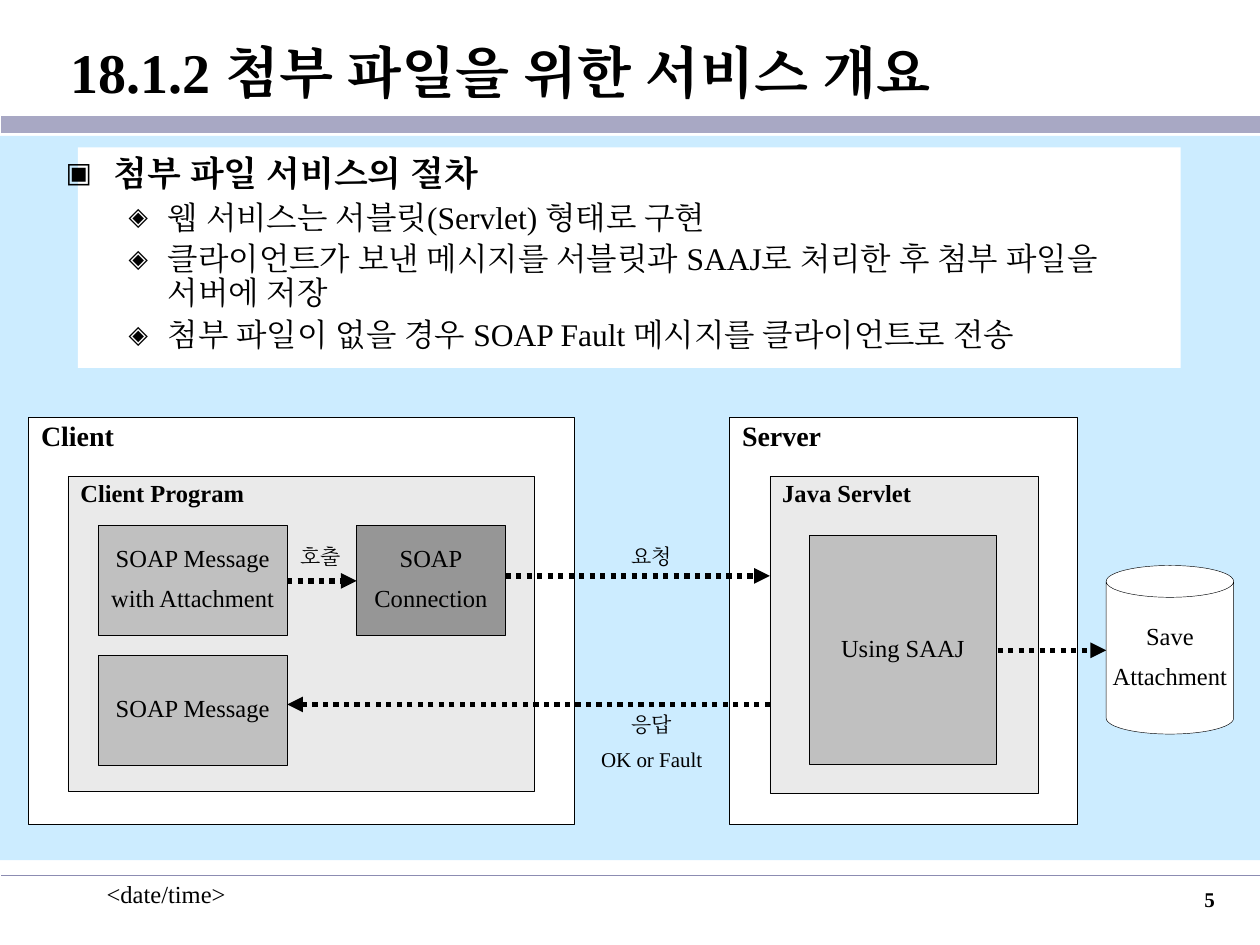
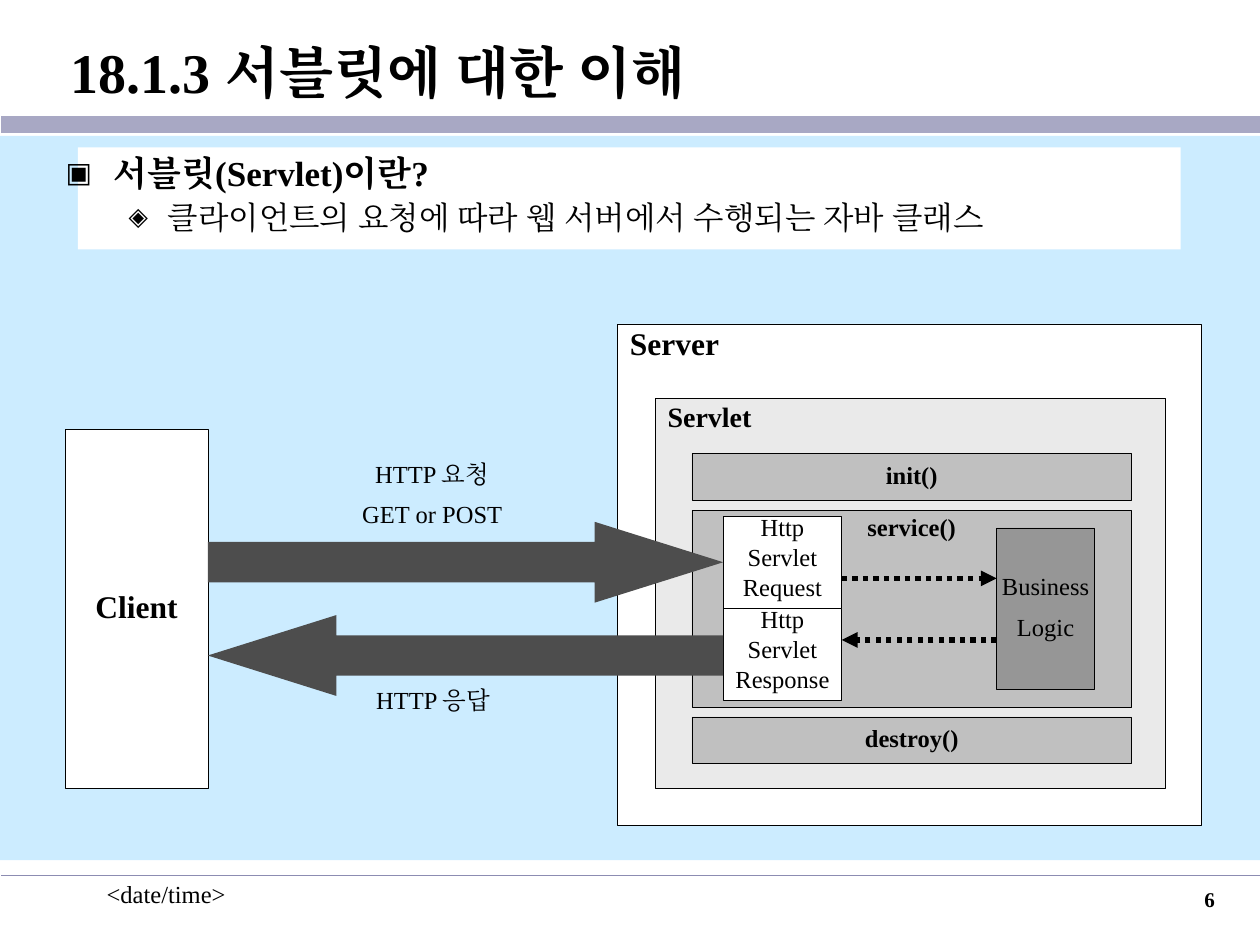
from lxml.etree import SubElement
from pptx import Presentation
from pptx.dml.color import RGBColor
from pptx.enum.dml import MSO_LINE
from pptx.enum.shapes import MSO_CONNECTOR, MSO_SHAPE
from pptx.enum.text import MSO_ANCHOR, MSO_AUTO_SIZE, PP_ALIGN
from pptx.oxml.ns import qn
from pptx.util import Cm, Pt

FONT = "Times New Roman"
BLACK, WHITE = "000000", "FFFFFF"
SKY, BAND, RULE = "CCECFF", "A8A8C4", "8C8CB2"
PALE, SILVER, GRAY, CHARCOAL = "EAEAEA", "C0C0C0", "969696", "4D4D4D"
WIDTH, HEIGHT = 25.4, 19.05
# bullet, left margin (cm), hanging indent (cm), text size, space before
LEVELS = [("▣", 0.97, 0.97, 20, 5), ("◈", 2.06, 0.79, 18, 4.5)]


def rgb(value):
    return RGBColor.from_string(value)


def place(sp, box):
    sp.left, sp.top, sp.width, sp.height = (Cm(v) for v in box)


def style_runs(p, size, bold=False):
    for r in p.runs:
        r.font.name, r.font.size, r.font.bold = FONT, Pt(size), bold
        r.font.color.rgb = rgb(BLACK)
        SubElement(r._r.get_or_add_rPr(), qn("a:ea"), typeface=FONT)


def write(sp, text, size=14, bold=False, align=PP_ALIGN.CENTER,
          anchor=MSO_ANCHOR.MIDDLE, spacing=0.85):
    """Fill a shape with unwrapped lines, spaced in proportion to their size."""
    tf = sp.text_frame
    tf.text = text
    tf.word_wrap = False
    tf.vertical_anchor = anchor
    for i, p in enumerate(tf.paragraphs):
        p.alignment, p.line_spacing = align, spacing
        p.space_before = Pt(size * 0.625 if i else 0)
        style_runs(p, size, bold)


def add_block(s, box, fill, text="", line=True, kind=MSO_SHAPE.RECTANGLE, **style):
    sp = s.shapes.add_shape(kind, *(Cm(v) for v in box))
    sp.shadow.inherit = False
    sp.fill.solid()
    sp.fill.fore_color.rgb = rgb(fill)
    if line:
        sp.line.color.rgb = rgb(BLACK)
        sp.line.width = Pt(0.25)
    else:
        sp.line.fill.background()
    if text:
        write(sp, text, **style)
    return sp


def add_panel(s, box, fill, text, size):
    """A container with its heading in the top left corner."""
    add_block(s, box, fill, text, size=size, bold=True,
              align=PP_ALIGN.LEFT, anchor=MSO_ANCHOR.TOP)


def add_label(s, box, text, **style):
    sp = s.shapes.add_textbox(*(Cm(v) for v in box))
    write(sp, text, anchor=MSO_ANCHOR.TOP, **style)


def add_line(s, x1, x2, y, color, width):
    ln = s.shapes.add_connector(MSO_CONNECTOR.STRAIGHT, Cm(x1), Cm(y), Cm(x2), Cm(y))
    ln.line.color.rgb = rgb(color)
    ln.line.width = Pt(width)
    SubElement(ln.element.spPr, qn("a:effectLst"))
    return ln


def add_dotted_arrow(s, x1, x2, y):
    ln = add_line(s, x1, x2, y, BLACK, 3)
    ln.line.dash_style = MSO_LINE.ROUND_DOT
    SubElement(ln.line._get_or_add_ln(), qn("a:tailEnd"), type="triangle")


# Parts shared by all slides
def add_title(s, text):
    sp = s.shapes.title
    place(sp, (0.03, 0.28, 25.37, 2.29))
    tf = sp.text_frame
    tf.text = text
    tf.margin_left = Cm(1.4)
    tf.vertical_anchor = MSO_ANCHOR.MIDDLE
    tf.auto_size = MSO_AUTO_SIZE.NONE
    tf.paragraphs[0].alignment = PP_ALIGN.LEFT
    style_runs(tf.paragraphs[0], 32, True)
    s.shapes.element.append(sp.element)


def add_bullets(s, heading, items, box):
    sp = s.placeholders[1]
    place(sp, box)
    tf = sp.text_frame
    tf.text = "\n".join([heading, *items])
    tf.auto_size = MSO_AUTO_SIZE.NONE
    for i, p in enumerate(tf.paragraphs):
        p.level = min(i, 1)
        char, margin, hang, size, before = LEVELS[p.level]
        pPr = p._p.get_or_add_pPr()
        pPr.set("marL", str(Cm(margin)))
        pPr.set("indent", str(-Cm(hang)))
        SubElement(SubElement(pPr, qn("a:buClr")), qn("a:srgbClr"), val=BLACK)
        SubElement(pPr, qn("a:buSzPct"), val="80000")
        SubElement(pPr, qn("a:buFont"), typeface=FONT)
        SubElement(pPr, qn("a:buChar"), char=char)
        p.alignment, p.line_spacing = PP_ALIGN.LEFT, 0.9
        p.space_before = Pt(before if i else 0)
        style_runs(p, size, i == 0)
    s.shapes.element.append(sp.element)


def add_frame(prs, number, title, heading, items, card_height, body_height):
    s = prs.slides.add_slide(prs.slide_layouts[1])
    # Footer and rules
    add_label(s, (1.9, 17.6, 5.28, 1.27), "<date/time>", align=PP_ALIGN.LEFT, spacing=1)
    add_label(s, (19.46, 17.75, 5.28, 1.27), number, size=12, bold=True,
              align=PP_ALIGN.RIGHT, spacing=1)
    add_line(s, 0.03, WIDTH, 2.51, BAND, 9.25)
    add_line(s, 0.03, WIDTH, 17.65, RULE, 1)
    # Background and text card
    add_block(s, (0, 2.74, WIDTH, 14.6), SKY, line=False)
    add_block(s, (1.57, 2.97, 22.23, card_height), WHITE, line=False)
    add_title(s, title)
    add_bullets(s, heading, items, (1.07, 3.02, 23.27, body_height))
    return s


# Attachment service: regions
def draw_soap_client(s, x, y):
    add_panel(s, (x, y, 11, 8.2), WHITE, "Client", 16)
    add_panel(s, (x + 0.79, y + 1.19, 9.4, 6.35), PALE, "Client Program", 14)
    for dy, text in ((2.18, "SOAP Message\nwith Attachment"), (4.8, "SOAP Message")):
        add_block(s, (x + 1.4, y + dy, 3.81, 2.21), SILVER, text)
    add_block(s, (x + 6.61, y + 2.18, 3, 2.21), GRAY, "SOAP\nConnection")
    add_dotted_arrow(s, x + 5.21, x + 6.61, y + 3.3)
    add_label(s, (x + 5.21, y + 2.51, 1.35, 0.69), "호출", size=12)


def draw_saaj_server(s, x, y):
    add_panel(s, (x, y, 7.01, 8.2), WHITE, "Server", 16)
    add_panel(s, (x + 0.81, y + 1.19, 5.41, 6.4), PALE, "Java Servlet", 14)
    add_block(s, (x + 1.6, y + 2.39, 3.78, 4.6), SILVER, "Using SAAJ")
    add_block(s, (x + 7.59, y + 2.99, 2.57, 3.4), WHITE, "Save\nAttachment",
              kind=MSO_SHAPE.CAN)
    add_dotted_arrow(s, x + 5.4, x + 7.59, y + 4.7)


def draw_soap_exchange(s, client_x, server_x, y):
    servlet_x = server_x + 0.81
    middle = (client_x + 11 + server_x) / 2
    add_dotted_arrow(s, client_x + 9.61, servlet_x, y + 3.2)
    add_label(s, (middle - 0.68, y + 2.51, 1.35, 0.69), "요청", size=12)
    add_dotted_arrow(s, servlet_x, client_x + 5.21, y + 5.79)
    add_label(s, (middle - 1.29, y + 5.89, 2.57, 1.4), "응답\nOK or Fault", size=12)


# Servlet life cycle: regions
def draw_servlet_server(s, x, y):
    add_panel(s, (x, y, 11.76, 10.11), WHITE, "Server", 18)
    add_panel(s, (x + 0.76, y + 1.5, 10.29, 7.87), PALE, "Servlet", 16)
    methods = (("init()", 2.61, 0.94, MSO_ANCHOR.MIDDLE),
               ("service()", 3.76, 3.96, MSO_ANCHOR.TOP),
               ("destroy()", 7.92, 0.94, MSO_ANCHOR.MIDDLE))
    for name, dy, height, anchor in methods:
        add_block(s, (x + 1.5, y + dy, 8.86, height), SILVER, name,
                  bold=True, anchor=anchor)
    for i, name in enumerate(("Request", "Response")):
        add_block(s, (x + 2.13, y + 3.88 + i * 1.85, 2.39, 1.85), WHITE,
                  f"Http\nServlet\n{name}", spacing=0.5)
    add_block(s, (x + 7.64, y + 4.11, 1.98, 3.25), GRAY, "Business\nLogic")
    add_dotted_arrow(s, x + 4.52, x + 7.64, y + 5.13)
    add_dotted_arrow(s, x + 7.64, x + 4.52, y + 6.37)


def draw_http_exchange(s, x, y):
    add_block(s, (x, y, 2.87, 7.24), WHITE, "Client", size=18, bold=True)
    for kind, dy in ((MSO_SHAPE.RIGHT_ARROW, 1.86), (MSO_SHAPE.LEFT_ARROW, 3.74)):
        sp = add_block(s, (x + 2.87, y + dy, 10.39, 1.63), CHARCOAL, line=False, kind=kind)
        sp.adjustments[0], sp.adjustments[1] = 0.5, 1.59
    add_label(s, (x + 5.72, y + 0.56, 3.35, 1.57), "HTTP 요청\nGET or POST")
    add_label(s, (x + 5.94, y + 5.11, 2.95, 0.76), "HTTP 응답")


def build_attachment_slide(prs):
    s = add_frame(prs, "5", "18.1.2 첨부 파일을 위한 서비스 개요", "첨부 파일 서비스의 절차",
                  ["웹 서비스는 서블릿(Servlet) 형태로 구현",
                   "클라이언트가 보낸 메시지를 서블릿과 SAAJ로 처리한 후 첨부 파일을 서버에 저장",
                   "첨부 파일이 없을 경우 SOAP Fault 메시지를 클라이언트로 전송"], 4.45, 4.67)
    client_x, server_x, y = 0.58, 14.71, 8.41
    draw_soap_client(s, client_x, y)
    draw_saaj_server(s, server_x, y)
    draw_soap_exchange(s, client_x, server_x, y)


def build_servlet_slide(prs):
    s = add_frame(prs, "6", "18.1.3 서블릿에 대한 이해", "서블릿(Servlet)이란?",
                  ["클라이언트의 요청에 따라 웹 서버에서 수행되는 자바 클래스"], 2.06, 1.98)
    draw_servlet_server(s, 12.45, 6.53)
    draw_http_exchange(s, 1.32, 8.66)


def main():
    prs = Presentation()
    prs.slide_width, prs.slide_height = Cm(WIDTH), Cm(HEIGHT)
    build_attachment_slide(prs)
    build_servlet_slide(prs)
    prs.save("out.pptx")


if __name__ == "__main__":
    main()
